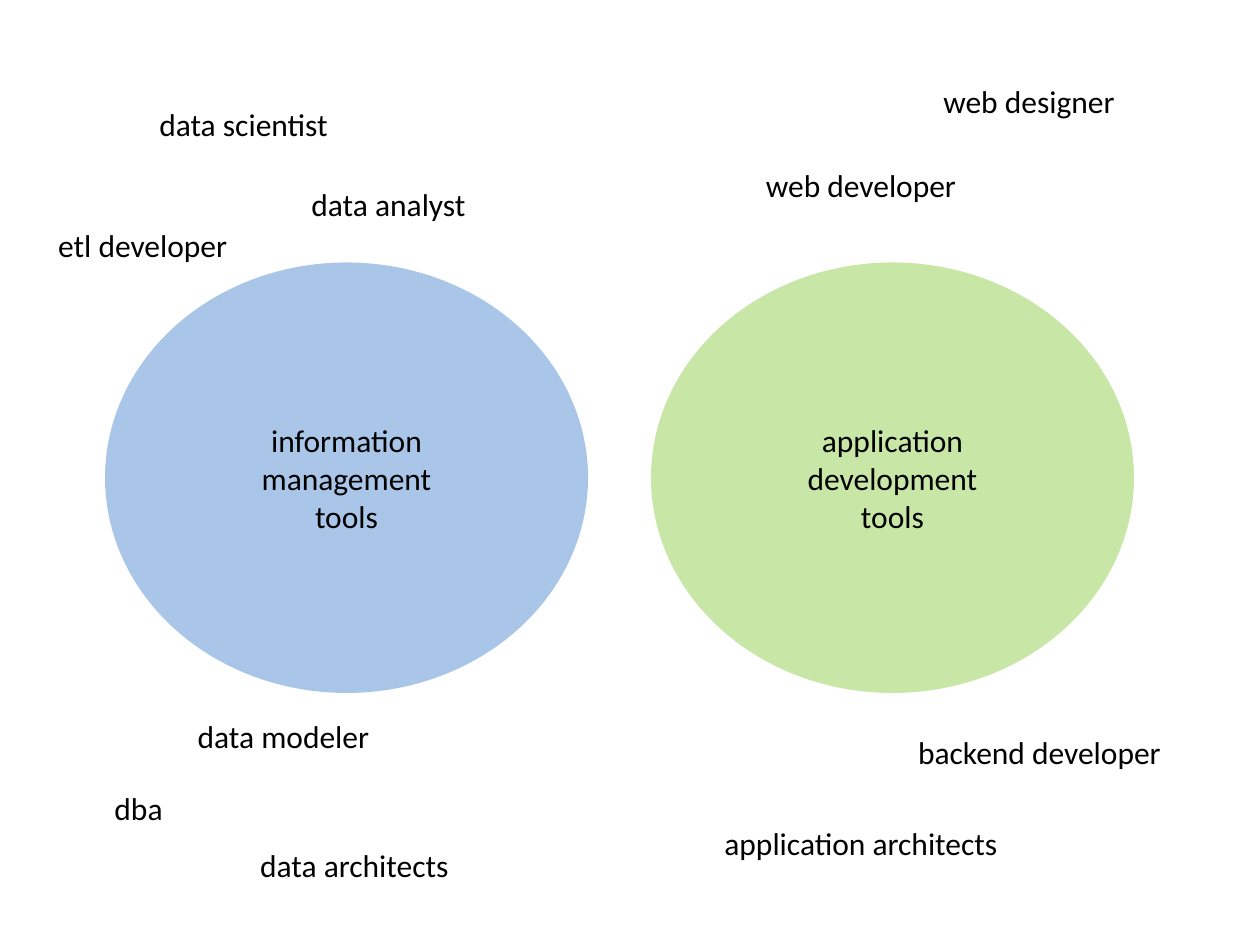
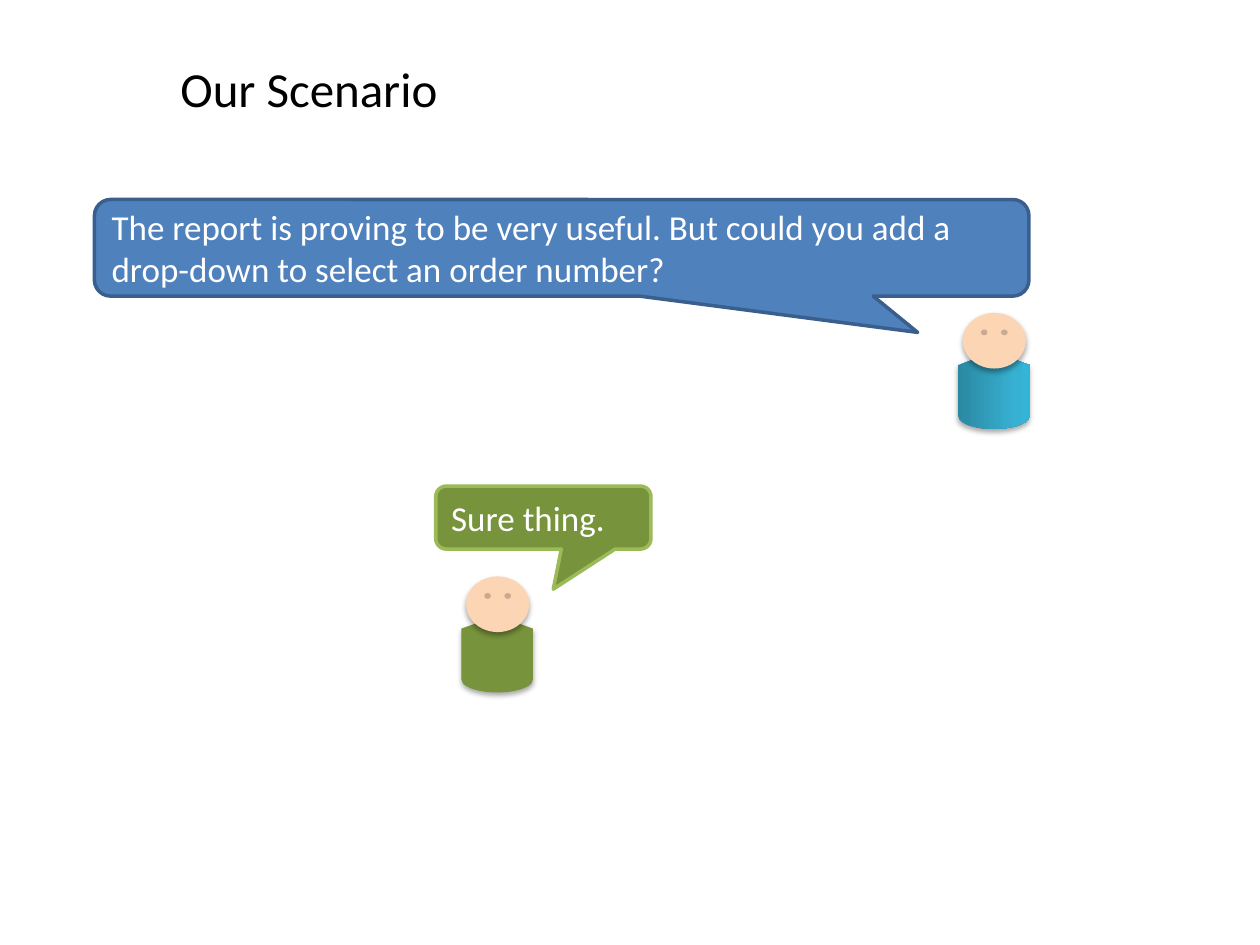
import pptx
import pptx.util
import pptx.dml.color
import pptx.enum.shapes
import pptx.enum.text
import pptx.oxml.ns
import copy
import lxml.etree

KINDS = pptx.enum.shapes.MSO_SHAPE
ALIGN = pptx.enum.text.PP_ALIGN
COLS, ROWS = 120, 90
WIDE, HIGH = pptx.util.Inches(10), pptx.util.Inches(7.5)

THEME = {
    "font": "Calibri",
    "label": 18, "speech": 20, "title": 28,
    "ink": "000000", "paper": "FFFFFF",
    "data": "558ED5", "app": "92D050",
    "skin": "FCD5B5", "blue": "4F81BD", "navy": "3A5F8C",
    "olive": "77933C", "lime": "9BBB59",
    "teal": [(0, "2A88A2"), (80, "37B1D2"), (100, "34B4D6")],
    "shade": {"blur": 3.1, "dist": 1.8, "turn": 90, "alpha": 35},
}

TOOLS = [
    ("data", 10, ["information", "management", "tools"]),
    ("app", 62, ["application", "development", "tools"]),
]
ROLES = [
    ("data analyst", 27, 17, 20),
    ("dba", 3.2, 74.6, 20),
    ("data scientist", 13.2, 9.4, 20),
    ("data architects", 20.5, 80, 26.5),
    ("etl developer", 3.6, 20.9, 20),
    ("data modeler", 17, 67.7, 20),
    ("backend developer", 86, 69.2, 26),
    ("web developer", 69, 15.2, 26),
    ("web designer", 88, 7.2, 20),
    ("application architects", 67, 77.9, 30),
]
TITLE = ("Our Scenario", (16, 5, 97, 6.9))
TALK = [
    {"say": "The report is proving to be very useful. But could you add a "
            "drop-down to select an order number?",
     "box": (9, 19, 89, 9.2), "tail": (0.381, 0.876),
     "fill": "blue", "edge": "navy", "who": (91, 33.8), "coat": "teal"},
    {"say": "Sure thing.",
     "box": (41.5, 46.3, 20.5, 6), "tail": (0.046, 1.137),
     "fill": "olive", "edge": "lime", "who": (43.7, 58.9), "coat": "olive"},
]


def place(box):
    return [round(part * size / count) for part, size, count
            in zip(box, (WIDE, HIGH) * 2, (COLS, ROWS) * 2)]


def tint(name):
    return pptx.dml.color.RGBColor.from_string(THEME[name])


def add_tag(node, name, **vals):
    child = lxml.etree.SubElement(node, pptx.oxml.ns.qn("a:" + name))
    for key, val in vals.items():
        child.set(key, str(val))
    return child


def write(shape, lines, size, color, align):
    frame = shape.text_frame
    frame.word_wrap = True
    for num, line in enumerate(lines):
        para = frame.add_paragraph() if num else frame.paragraphs[0]
        para.alignment = align
        run = para.add_run()
        run.text = line
        run.font.name = THEME["font"]
        run.font.size = pptx.util.Pt(THEME[size])
        run.font.color.rgb = tint(color)
    return frame


def add_text(slide, line, box, size, align):
    shape = slide.shapes.add_textbox(*place(box))
    frame = write(shape, [line], size, "ink", align)
    frame.auto_size = pptx.enum.text.MSO_AUTO_SIZE.SHAPE_TO_FIT_TEXT


def add_form(shapes, kind, box, fill):
    shape = shapes.add_shape(kind, *place(box))
    shape.shadow.inherit = False
    shape.line.fill.background()
    if isinstance(THEME[fill], list):
        blend(shape, THEME[fill])
    else:
        shape.fill.solid()
        shape.fill.fore_color.rgb = tint(fill)
    return shape


def find(shape, name):
    return shape._element.spPr.find(".//" + pptx.oxml.ns.qn("a:" + name))


def blend(shape, stops):
    shape.fill.gradient()
    shape.fill.gradient_angle = 90
    holder = find(shape, "gsLst")
    for old in list(holder):
        holder.remove(old)
    for share, color in stops:
        stop = add_tag(holder, "gs", pos=share * 1000)
        add_tag(stop, "srgbClr", val=color)


def shade(shape):
    look = THEME["shade"]
    cast = add_tag(find(shape, "effectLst"), "outerShdw",
                   blurRad=pptx.util.Pt(look["blur"]),
                   dist=pptx.util.Pt(look["dist"]),
                   dir=look["turn"] * 60000, rotWithShape=0)
    color = add_tag(cast, "srgbClr", val=THEME["ink"])
    add_tag(color, "alpha", val=look["alpha"] * 1000)


def add_person(slide, spot, coat):
    left, top = spot
    group = slide.shapes.add_group_shape().shapes
    body = add_form(group, KINDS.FLOWCHART_DISPLAY, (left, top, 7.3, 6.8), coat)
    body.rotation = 90
    head = add_form(group, KINDS.SMILEY_FACE, (left + 0.7, top - 4, 6, 5.3), "skin")
    for part in (body, head):
        shade(part)


def add_speech(slide, turn):
    shape = add_form(slide.shapes, KINDS.ROUNDED_RECTANGULAR_CALLOUT,
                     turn["box"], turn["fill"])
    for num, val in enumerate(turn["tail"]):
        shape.adjustments[num] = val
    shape.line.color.rgb = tint(turn["edge"])
    shape.line.width = pptx.util.Pt(2)
    frame = write(shape, [turn["say"]], "speech", "paper", ALIGN.LEFT)
    frame.vertical_anchor = pptx.enum.text.MSO_ANCHOR.MIDDLE


def draw_roles(slide):
    for fill, left, lines in TOOLS:
        disc = add_form(slide.shapes, KINDS.OVAL, (left, 25, 46, 41), fill)
        add_tag(find(disc, "srgbClr"), "alpha", val=50000)
        frame = write(disc, lines, "label", "ink", ALIGN.CENTER)
        frame.vertical_anchor = pptx.enum.text.MSO_ANCHOR.MIDDLE
    for role, left, top, width in ROLES:
        add_text(slide, role, (left, top, width, 4.8), "label", ALIGN.CENTER)


def draw_talk(slide):
    add_text(slide, *TITLE, "title", ALIGN.LEFT)
    for turn in TALK:
        add_person(slide, turn["who"], turn["coat"])
        add_speech(slide, turn)


def main():
    deck = pptx.Presentation()
    deck.slide_width, deck.slide_height = WIDE, HIGH
    for draw in (draw_roles, draw_talk):
        draw(deck.slides.add_slide(deck.slide_layouts[6]))
    deck.save("out.pptx")


if __name__ == "__main__":
    main()
